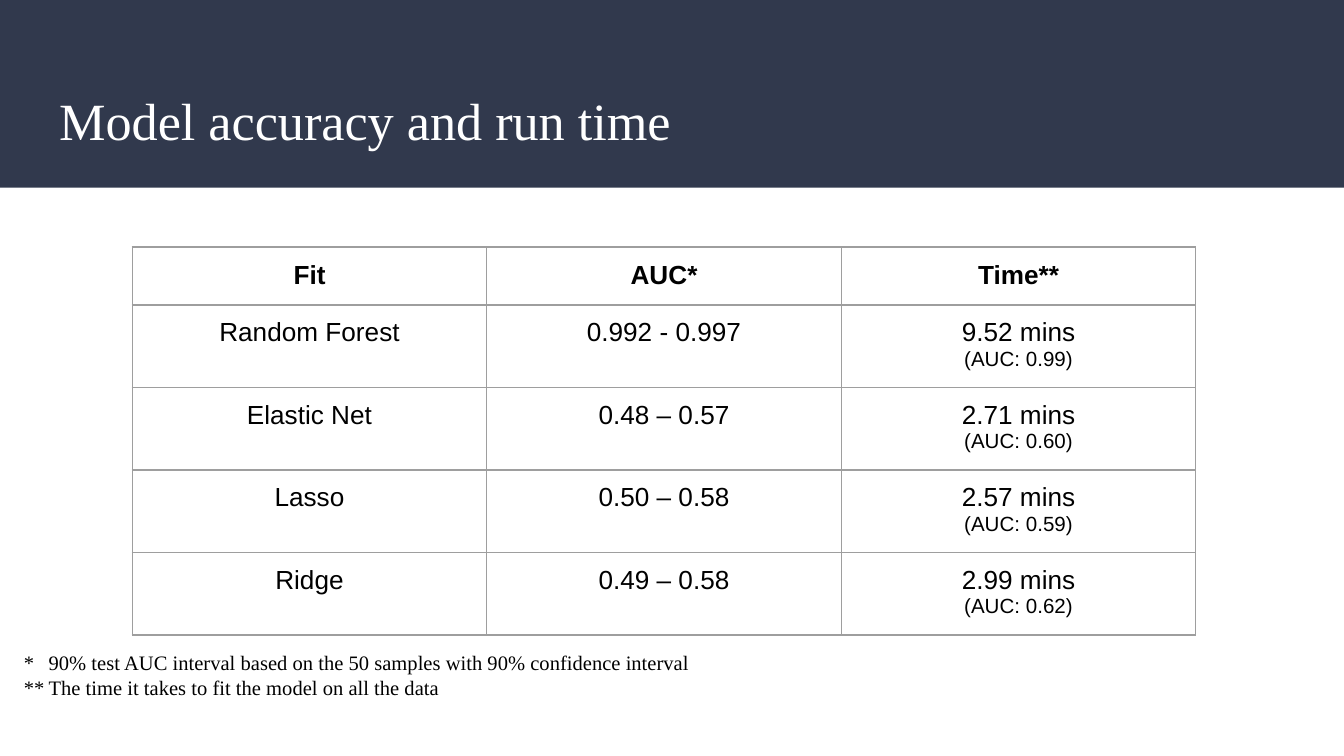
from lxml.etree import SubElement
from pptx import Presentation
from pptx.dml.color import RGBColor
from pptx.enum.shapes import MSO_SHAPE as Shape
from pptx.enum.text import MSO_ANCHOR as Anchor, PP_ALIGN as Align
from pptx.oxml.ns import qn
from pptx.util import Cm, Pt

NAVY = RGBColor(0x31, 0x39, 0x4D)
WHITE = RGBColor(0xFF, 0xFF, 0xFF)
BLACK = RGBColor(0, 0, 0)
GRID = RGBColor(0x9E, 0x9E, 0x9E)

SERIF, SANS = "Times New Roman", "Arial"
INSET = Cm(0.25)
INSETS = {f"margin_{side}": INSET for side in ("left", "top", "right", "bottom")}

TITLE = {"name": SERIF, "size": Pt(28)}
NOTE = {"name": SERIF, "size": Pt(11)}
BODY = {"name": SANS, "size": Pt(14), "bold": False}
HEADER = {**BODY, "bold": True}
DETAIL = {**BODY, "size": Pt(11)}

HEADINGS = ("Fit", "AUC*", "Time**")
FITS = [
    ("Random Forest", "0.992 - 0.997", "9.52 mins", "(AUC: 0.99)"),
    ("Elastic Net", "0.48 – 0.57", "2.71 mins", "(AUC: 0.60)"),
    ("Lasso", "0.50 – 0.58", "2.57 mins", "(AUC: 0.59)"),
    ("Ridge", "0.49 – 0.58", "2.99 mins", "(AUC: 0.62)"),
]
FOOTNOTES = [
    ("*", "90% test AUC interval based on the 50 samples with 90% confidence interval"),
    ("**", "The time it takes to fit the model on all the data"),
]


def apply(target, values):
    for key, value in values.items():
        setattr(target, key, value)


def write_lines(frame, lines, color=BLACK, align=Align.LEFT):
    for index, (words, style) in enumerate(lines):
        line = frame.add_paragraph() if index else frame.paragraphs[0]
        line.alignment = align
        run = line.add_run()
        run.text = words
        apply(run.font, style)
        run.font.color.rgb = color


def add_band(slide, width, height):
    band = slide.shapes.add_shape(Shape.RECTANGLE, 0, 0, width, height)
    band.shadow.inherit = False
    band.fill.solid()
    band.fill.fore_color.rgb = NAVY
    band.line.fill.background()


def add_text(slide, place, lines, color=BLACK, anchor=Anchor.TOP):
    frame = slide.shapes.add_textbox(*place).text_frame
    apply(frame, {**INSETS, "word_wrap": True, "vertical_anchor": anchor})
    write_lines(frame, lines, color)
    return frame


def hang_lines(frame, indent):
    for line in frame.paragraphs:
        props = line._p.get_or_add_pPr()
        props.set("marL", str(indent))
        props.set("indent", str(-indent))


def draw_borders(cell):
    props = cell._tc.get_or_add_tcPr()
    for position, edge in enumerate(("lnL", "lnR", "lnT", "lnB")):
        border = props.makeelement(qn(f"a:{edge}"), {"w": str(Pt(0.75))})
        fill = SubElement(border, qn("a:solidFill"))
        SubElement(fill, qn("a:srgbClr"), val=str(GRID))
        props.insert(position, border)


def fill_cell(cell, lines):
    apply(cell, INSETS)
    cell.fill.background()
    write_lines(cell.text_frame, lines, align=Align.CENTER)
    draw_borders(cell)


def add_results(slide, left, top, column_width, header_height, row_height):
    rows = [[[(heading, HEADER)] for heading in HEADINGS]]
    for fit, auc, time, reached in FITS:
        rows.append([[(fit, BODY)], [(auc, BODY)], [(time, BODY), (reached, DETAIL)]])
    results = slide.shapes.add_table(
        len(rows), len(HEADINGS), left, top,
        column_width * len(HEADINGS), header_height + row_height * len(FITS),
    ).table
    apply(results, {"first_row": False, "horz_banding": False})
    for column in results.columns:
        column.width = column_width
    for index, row in enumerate(rows):
        results.rows[index].height = row_height if index else header_height
        for cell, lines in zip(results.rows[index].cells, row):
            fill_cell(cell, lines)


def main():
    deck = Presentation()
    apply(deck, {"slide_width": Cm(25.4), "slide_height": Cm(14.29)})
    slide = deck.slides.add_slide(deck.slide_layouts[6])
    add_band(slide, deck.slide_width, Cm(3.55))
    add_text(slide, (Cm(0.87), Cm(1.4), Cm(23.67), Cm(1.73)),
             [("Model accuracy and run time", TITLE)], WHITE, Anchor.MIDDLE)
    add_results(slide, Cm(2.5), Cm(4.67), Cm(6.7), Cm(1.06), Cm(1.5))
    notes = add_text(slide, (Cm(0.2), Cm(12.04), Cm(15.57), Cm(1.14)),
                     [(f"{mark}\t{note}", NOTE) for mark, note in FOOTNOTES])
    hang_lines(notes, Cm(0.47))
    deck.save("out.pptx")


if __name__ == "__main__":
    main()
